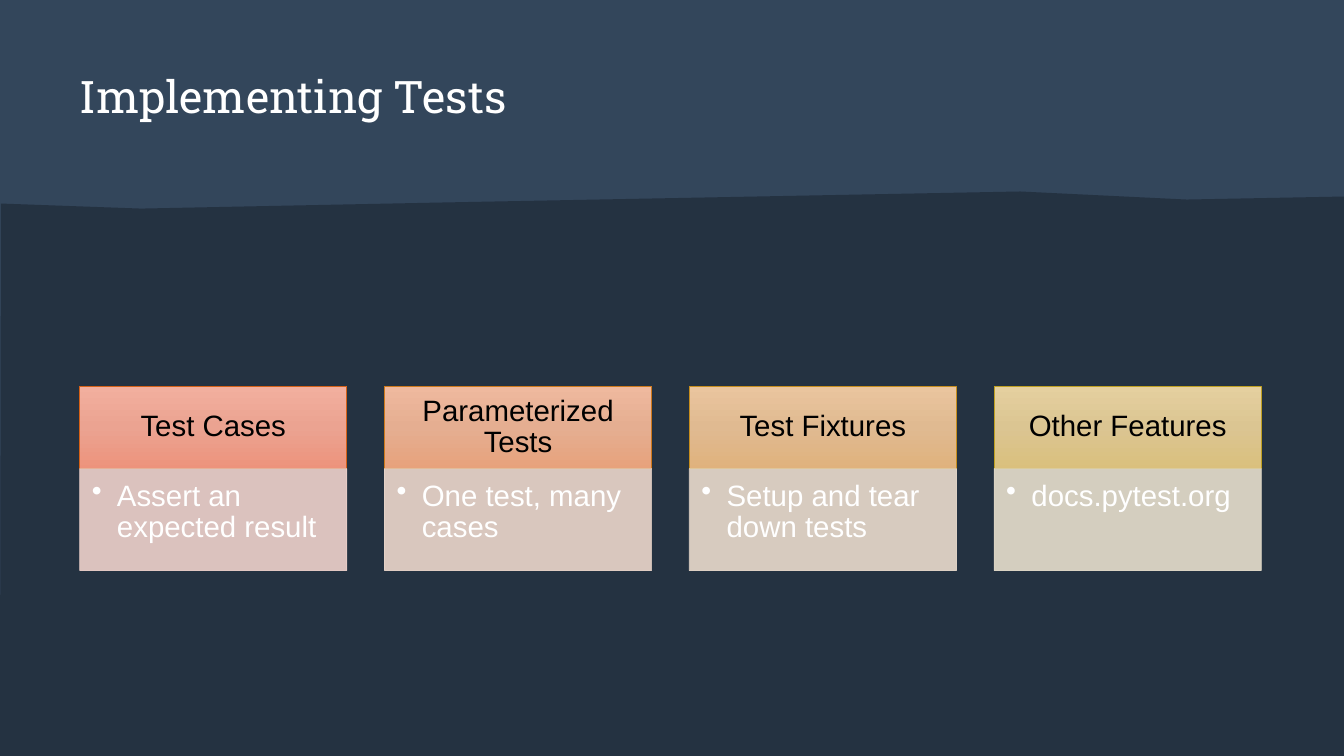
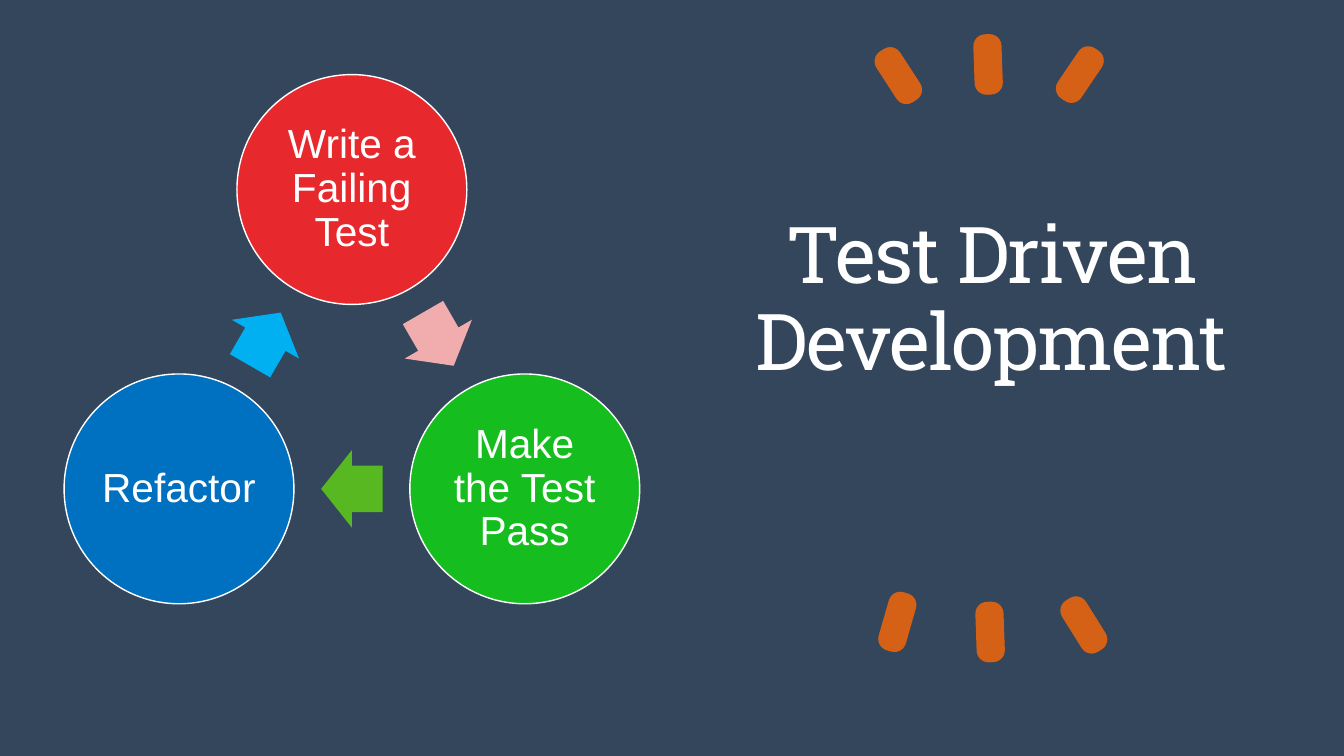
from copy import deepcopy
from math import cos, radians, sin

from lxml import etree
from pptx import Presentation
from pptx.dml.color import RGBColor
from pptx.enum.shapes import MSO_SHAPE as Shape
from pptx.enum.text import MSO_ANCHOR as Anchor, MSO_AUTO_SIZE as AutoSize, PP_ALIGN as Align
from pptx.oxml.ns import qn
from pptx.util import Inches, Pt

COLORS = {
    "background": "243241", "panel": "33465B", "white": "FFFFFF", "black": "000000",
    "stroke": "D56117", "red": "E7292E", "pink": "F1ADAD", "green": "15BE1E",
    "lime": "57B821", "blue": "0070C0", "sky": "00B0F0",
}
WIDTH, HEIGHT = 13.33, 7.5


def add_shape(slide, kind, box, fill, line=None, line_width=0.5):
    shape = slide.shapes.add_shape(kind, *[Inches(value) for value in box])
    shape.shadow.inherit = False
    shape.fill.solid()
    shape.fill.fore_color.rgb = RGBColor.from_string(fill)
    if line:
        shape.line.color.rgb = RGBColor.from_string(line)
        shape.line.width = Pt(line_width)
    else:
        shape.line.fill.background()
    return shape


def set_text(shape, text, size, color, font="Arial", align=Align.CENTER,
             anchor=Anchor.MIDDLE, insets=(0, 0, 0, 0), spacing=0.9):
    frame = shape.text_frame
    frame.text = text
    frame.word_wrap = True
    frame.auto_size = AutoSize.NONE
    frame.vertical_anchor = anchor
    frame.margin_left, frame.margin_top, frame.margin_right, frame.margin_bottom = map(Inches, insets)
    paragraph = frame.paragraphs[0]
    paragraph.alignment = align
    paragraph.line_spacing = spacing
    run = paragraph.runs[0]
    run.font.name = font
    run.font.size = Pt(size)
    run.font.color.rgb = RGBColor.from_string(color)
    return paragraph


presentation = Presentation()
presentation.slide_width = Inches(WIDTH)
presentation.slide_height = Inches(HEIGHT)
background = presentation.slide_master.background.fill
background.solid()
background.fore_color.rgb = RGBColor.from_string(COLORS["background"])

titles = [
    ("Implementing Tests", (0.79, 0.68, 11.73, 0.75), 32, Align.LEFT, Anchor.TOP, 1.0, 0),
    ("Test Driven Development", (7.09, 1.7, 5.49, 2.15), 56, Align.CENTER, Anchor.BOTTOM, 0.93, -100),
]
slides = []
for text, box, size, align, anchor, spacing, tracking in titles:
    slide = presentation.slides.add_slide(presentation.slide_layouts[5])
    title = slide.shapes.title
    title.left, title.top, title.width, title.height = map(Inches, box)
    paragraph = set_text(title, text, size, COLORS["white"], "Roboto Slab", align, anchor, spacing=spacing)
    paragraph.runs[0].font._element.set("spc", str(tracking))
    panel = add_shape(slide, Shape.RECTANGLE, (0, 0, WIDTH, HEIGHT), COLORS["panel"])
    title.element.addprevious(panel.element)
    slides.append(slide)
tests_slide, cycle_slide = slides

ridge_points = [(0.01, 2.02), (1.4, 2.07), (4.36, 2.01), (10.12, 1.9), (11.77, 1.98),
                (WIDTH, 1.95), (WIDTH, HEIGHT), (0, HEIGHT)]
vertices = [(Inches(x), Inches(y)) for x, y in ridge_points]
builder = tests_slide.shapes.build_freeform(*vertices[0])
builder.add_line_segments(vertices[1:], close=True)
ridge = builder.convert_to_shape()
ridge.shadow.inherit = False
ridge.fill.solid()
ridge.fill.fore_color.rgb = RGBColor.from_string(COLORS["background"])
ridge.line.fill.background()

STROKE_WIDTH, STROKE_HEIGHT = 0.28, 0.6
strokes = [(8.91, 0.75, -33), (9.8, 0.64, -2), (10.71, 0.74, 34),
           (8.9, 6.17, 16), (9.82, 6.27, -2), (10.75, 6.2, -32)]
for x, y, rotation in strokes:
    box = (x - STROKE_WIDTH / 2, y - STROKE_HEIGHT / 2, STROKE_WIDTH, STROKE_HEIGHT)
    stroke = add_shape(cycle_slide, Shape.ROUNDED_RECTANGLE, box, COLORS["stroke"])
    stroke.adjustments[0] = 0.42
    stroke.rotation = rotation

CARD_LEFT, CARD_WIDTH, CARDS_WIDTH = 0.79, 2.65, 11.72
cards = [
    ("Test Cases", "Assert an expected result", ("F2AF9E", "EBA391", "ED937C"), "D56117", "EFD2CC"),
    ("Parameterized Tests", "One test, many cases", ("EFB99E", "E5AE91", "E7A27C"), "CE791B", "EDD8CC"),
    ("Test Fixtures", "Setup and tear down tests", ("EAC59E", "E0BA91", "E0B27D"), "C68E1E", "EBDCCD"),
    ("Other Features", "docs.pytest.org", ("E5D09F", "DBC592", "DAC07D"), "BFA022", "E8DFCD"),
]
pitch = (CARDS_WIDTH - CARD_WIDTH) / (len(cards) - 1)
for index, (heading, detail, gradient, border, tint) in enumerate(cards):
    left = CARD_LEFT + index * pitch
    header = add_shape(tests_slide, Shape.RECTANGLE, (left, 3.83, CARD_WIDTH, 0.82), gradient[0], border)
    header.fill.gradient()
    header.fill.gradient_angle = 270
    stop_list = header.element.spPr.find(".//" + qn("a:gsLst"))
    stop_list.insert(1, deepcopy(stop_list[0]))
    for stop, color, position in zip(header.fill.gradient_stops, gradient, (0, 0.5, 1)):
        stop.color.rgb = RGBColor.from_string(color)
        stop.position = position
    set_text(header, heading, 21, COLORS["black"], insets=(0.16, 0.09, 0.16, 0.09))

    body = add_shape(tests_slide, Shape.RECTANGLE, (left, 4.65, CARD_WIDTH, 1.01), tint, tint)
    for color in body.element.spPr.iter(qn("a:srgbClr")):
        etree.SubElement(color, qn("a:alpha")).set("val", "90000")
    paragraph = set_text(body, detail, 21, COLORS["white"], align=Align.LEFT, anchor=Anchor.TOP,
                         insets=(0.12, 0.12, 0.16, 0.18))
    properties = paragraph._p.get_or_add_pPr()
    properties.set("marL", str(Inches(0.25)))
    properties.set("indent", str(Inches(-0.25)))
    etree.SubElement(properties, qn("a:buChar")).set("char", "•")

CENTER_X, CENTER_Y, RADIUS = 3.49, 3.86, 1.98
CIRCLE, ARROW_WIDTH, ARROW_HEIGHT = 2.28, 0.61, 0.77
steps = [
    ("Write a Failing Test", "red", "pink"),
    ("Make the Test Pass", "green", "lime"),
    ("Refactor", "blue", "sky"),
]
for index, (label, circle_color, arrow_color) in enumerate(steps):
    angle = radians(120 * index - 90)
    x = CENTER_X + RADIUS * cos(angle) - CIRCLE / 2
    y = CENTER_Y + RADIUS * sin(angle) - CIRCLE / 2
    circle = add_shape(cycle_slide, Shape.OVAL, (x, y, CIRCLE, CIRCLE), COLORS[circle_color],
                       COLORS["white"], 1)
    set_text(circle, label, 29, COLORS["white"], insets=(0.04, 0.04, 0.04, 0.04))

    angle = radians(120 * index - 30)
    x = CENTER_X + RADIUS / 2 * cos(angle) - ARROW_WIDTH / 2
    y = CENTER_Y + RADIUS / 2 * sin(angle) - ARROW_HEIGHT / 2
    arrow = add_shape(cycle_slide, Shape.RIGHT_ARROW, (x, y, ARROW_WIDTH, ARROW_HEIGHT), COLORS[arrow_color])
    arrow.adjustments[0] = 0.6
    arrow.adjustments[1] = 0.5
    arrow.rotation = 120 * index + 60

presentation.save("out.pptx")
